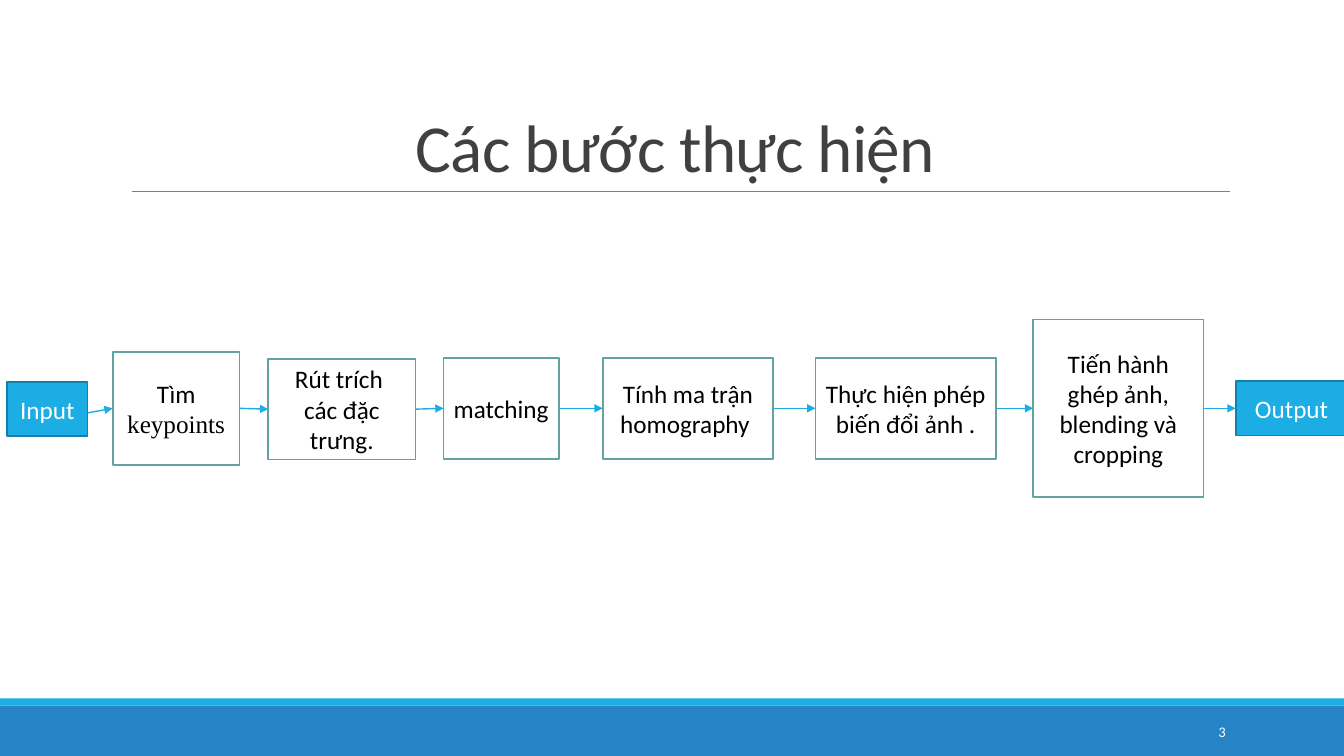
from dataclasses import dataclass
from itertools import pairwise

from lxml.etree import SubElement
from pptx import Presentation
from pptx.dml.color import RGBColor
from pptx.enum.shapes import MSO_CONNECTOR as Connector, MSO_SHAPE as Shape
from pptx.enum.text import MSO_ANCHOR as Anchor, PP_ALIGN as Align
from pptx.oxml.ns import qn
from pptx.util import Cm, Pt

# Content
TITLE = "Các bước thực hiện"
PAGE_NUMBER = "3"
# Each step: runs (text, font key), left, width, height, vertical centre (cm), look
STEPS = [
    ([("Input", "sans")], 0.18, 2.03, 1.37, 10.31, "end"),
    ([("Tìm ", "sans"), ("keypoints", "serif")], 2.84, 3.2, 2.84, 10.29, "step"),
    ([("Rút trích \ncác đặc trưng.", "sans")], 6.76, 3.71, 2.54, 10.31, "step"),
    ([("matching", "sans")], 11.18, 2.9, 2.54, 10.29, "step"),
    ([("Tính ma trận homography ", "sans")], 15.19, 4.29, 2.54, 10.29, "step"),
    ([("Thực hiện phép biến đổi ảnh .", "sans")], 20.55, 4.55, 2.54, 10.29, "step"),
    ([("Tiến hành ghép ảnh, blending và cropping", "sans")], 26.04, 4.29, 4.47, 10.29, "step"),
    ([("Output", "sans")], 31.14, 2.82, 1.37, 10.29, "end"),
]
FIRST_ARROW_START = (1.91, 10.46)  # tucked behind the Input box


@dataclass(frozen=True)
class Theme:
    sans: str = "Calibri"
    serif: str = "Times New Roman"
    title_size: float = 48
    step_size: float = 18
    page_size: float = 10.5
    title: str = "404040"
    text: str = "000000"
    white: str = "FFFFFF"
    accent: str = "1CADE4"
    accent_edge: str = "1580A9"
    footer: str = "2683C6"
    step_edge: str = "62A39F"
    rule: str = "808080"


theme = Theme()
LOOKS = {  # fill, edge, text colour
    "end": (theme.accent, theme.accent_edge, theme.white),
    "step": (theme.white, theme.step_edge, theme.text),
}


def write(frame, runs, *, size, color, align=Align.CENTER, anchor=Anchor.MIDDLE,
          line_spacing=None, tracking=None):
    frame.word_wrap = True
    frame.vertical_anchor = anchor
    paragraph = frame.paragraphs[0]
    paragraph.alignment = align
    if line_spacing:
        paragraph.line_spacing = line_spacing
    for text, font_key in runs:
        for index, line in enumerate(text.split("\n")):
            if index:
                paragraph.add_line_break()
            run = paragraph.add_run()
            run.text = line
            run.font.name = getattr(theme, font_key)
            run.font.size = Pt(size)
            run.font.color.rgb = RGBColor.from_string(color)
            if tracking:
                run.font._element.set("spc", str(tracking))


def add_box(slide, left, top, width, height, fill, edge=None):
    box = slide.shapes.add_shape(Shape.RECTANGLE, Cm(left), Cm(top), Cm(width), Cm(height))
    box.shadow.inherit = False
    box.fill.solid()
    box.fill.fore_color.rgb = RGBColor.from_string(fill)
    if edge:
        box.line.color.rgb = RGBColor.from_string(edge)
        box.line.width = Pt(1.25)
    else:
        box.line.fill.background()
    return box


def add_line(slide, start, end, color, weight, arrow=False):
    line = slide.shapes.add_connector(Connector.STRAIGHT, *map(Cm, start + end))
    line.line.color.rgb = RGBColor.from_string(color)
    line.line.width = Pt(weight)
    if arrow:
        SubElement(line.line._get_or_add_ln(), qn("a:tailEnd"), type="triangle")
    SubElement(line._element.spPr, qn("a:effectLst"))


def main():
    deck = Presentation()
    deck.slide_width, deck.slide_height = Cm(33.87), Cm(19.05)
    slide = deck.slides.add_slide(deck.slide_layouts[5])

    # Footer bands and title rule
    add_box(slide, 0, 17.78, 33.87, 1.27, theme.footer)
    add_box(slide, 0, 17.6, 33.87, 0.18, theme.accent)
    add_line(slide, (3.33, 4.82), (31, 4.82), theme.rule, 0.5)

    # Title
    title = slide.shapes.title
    title.left, title.top, title.width, title.height = Cm(3.05), Cm(0.79), Cm(27.94), Cm(4.03)
    write(title.text_frame, [(TITLE, "sans")], size=theme.title_size, color=theme.title,
          anchor=Anchor.BOTTOM, line_spacing=0.85, tracking=-50)

    # Arrows from each step's right edge to the next step's left edge
    for index, (source, target) in enumerate(pairwise(STEPS)):
        _, left, width, _, middle, _ = source
        start = (left + width, middle) if index else FIRST_ARROW_START
        add_line(slide, start, (target[1], target[4]), theme.accent, 1, arrow=True)

    # Step boxes
    for runs, left, width, height, middle, look in STEPS:
        fill, edge, color = LOOKS[look]
        box = add_box(slide, left, middle - height / 2, width, height, fill, edge)
        write(box.text_frame, runs, size=theme.step_size, color=color)

    # Page number
    page = slide.shapes.add_textbox(Cm(27.51), Cm(17.93), Cm(3.63), Cm(1.02))
    write(page.text_frame, [(PAGE_NUMBER, "sans")], size=theme.page_size,
          color=theme.white, align=Align.RIGHT)

    deck.save("out.pptx")


if __name__ == "__main__":
    main()
